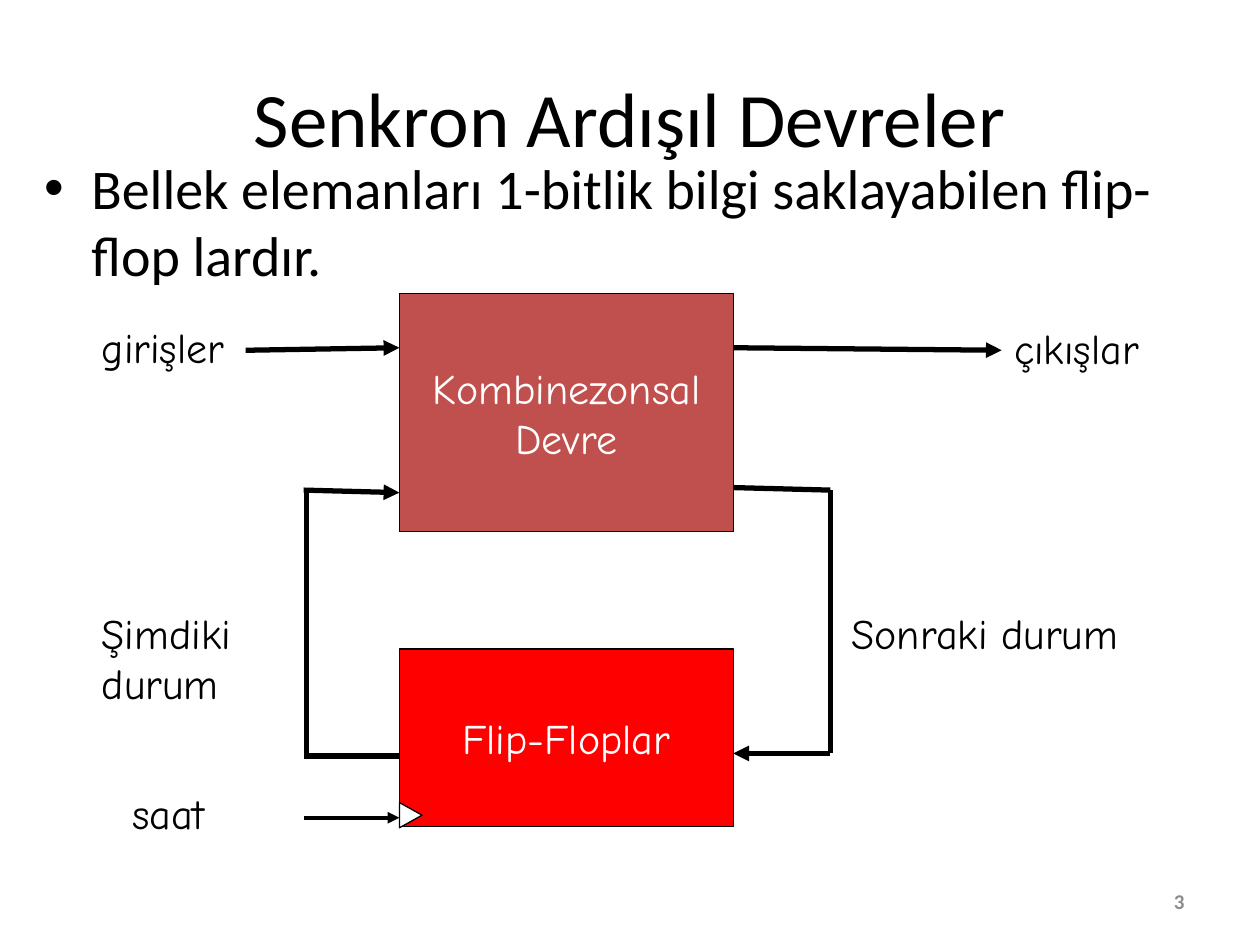
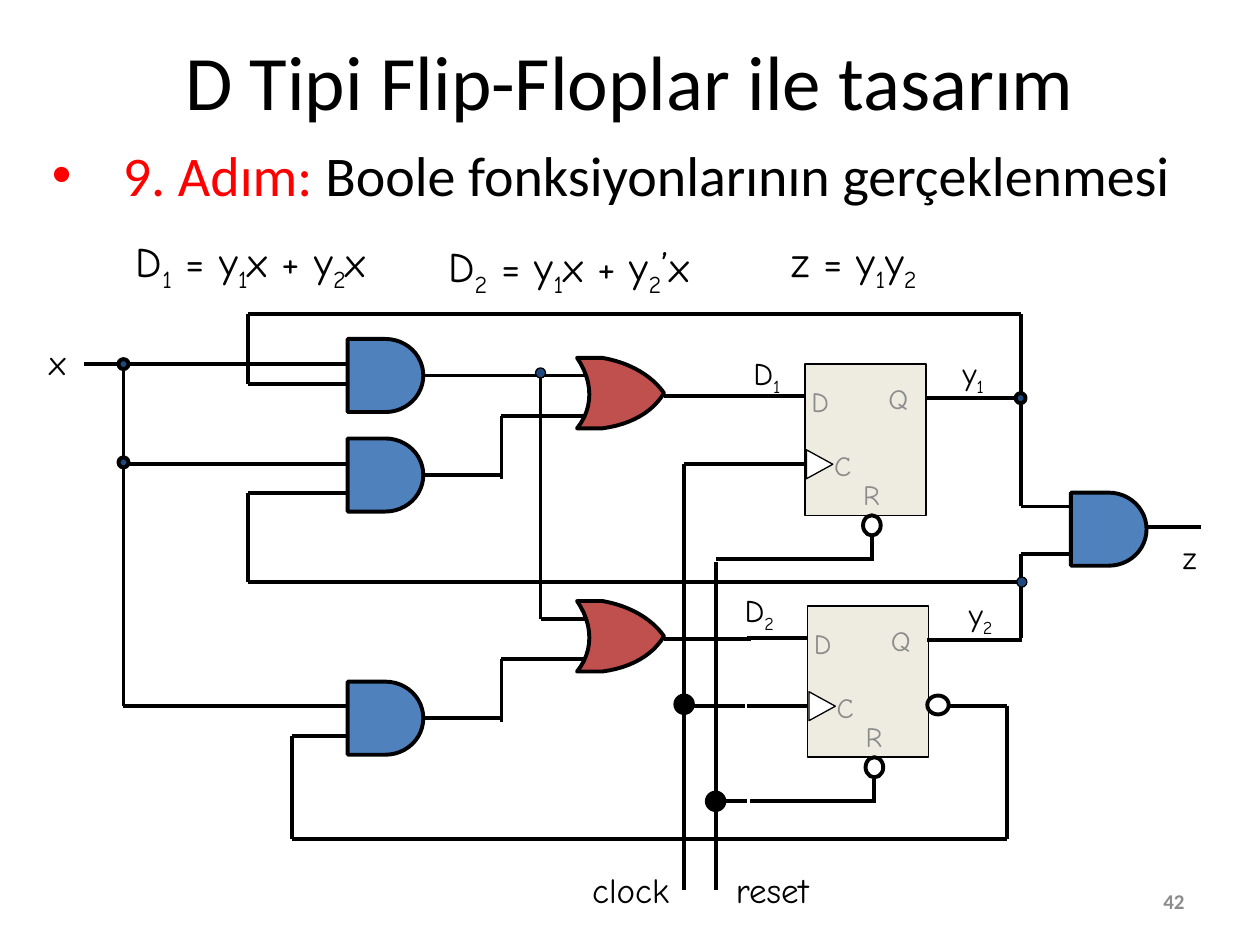
from lxml import etree
from pptx import Presentation
from pptx.dml.color import RGBColor
from pptx.enum.shapes import MSO_CONNECTOR, MSO_SHAPE
from pptx.enum.text import MSO_ANCHOR, MSO_AUTO_SIZE, PP_ALIGN
from pptx.oxml.ns import qn
from pptx.util import Inches, Pt

BLACK = RGBColor(0x00, 0x00, 0x00)
WHITE = RGBColor(0xFF, 0xFF, 0xFF)
GRAY = RGBColor(0x8C, 0x8C, 0x8C)
RED = RGBColor(0xFF, 0x00, 0x00)
BRICK = RGBColor(0xC0, 0x50, 0x4D)
BLUE = RGBColor(0x4F, 0x81, 0xBD)
NAVY = RGBColor(0x1F, 0x49, 0x7D)
BEIGE = RGBColor(0xEE, 0xEC, 0xE1)

TEXT_FONT = "Calibri"
DIAGRAM_FONT = "Comic Neue"

RECTANGLE = MSO_SHAPE.RECTANGLE
TRIANGLE = MSO_SHAPE.ISOSCELES_TRIANGLE
ELLIPSE = MSO_SHAPE.OVAL
AND_GATE = MSO_SHAPE.FLOWCHART_DELAY
STRAIGHT = MSO_CONNECTOR.STRAIGHT
CENTER, RIGHT = PP_ALIGN.CENTER, PP_ALIGN.RIGHT
MIDDLE = MSO_ANCHOR.MIDDLE
NO_FIT, GROW = MSO_AUTO_SIZE.NONE, MSO_AUTO_SIZE.SHAPE_TO_FIT_TEXT

THIN, WIRE, THICK = 0.75, 2.25, 3


def place(shape, left, top, width, height):
    shape.left, shape.top = Inches(left), Inches(top)
    shape.width, shape.height = Inches(width), Inches(height)


def style_font(font, name, size, color):
    font.name, font.size = name, Pt(size)
    font.color.rgb = color


def bezier(start, control1, control2, end, steps=12):
    """Points along a cubic curve, without its start."""
    points = []
    for step in range(1, steps + 1):
        t = step / steps
        weights = ((1 - t) ** 3, 3 * t * (1 - t) ** 2, 3 * t * t * (1 - t), t ** 3)
        corners = (start, control1, control2, end)
        points.append(tuple(sum(w * c[axis] for w, c in zip(weights, corners))
                            for axis in (0, 1)))
    return points


class Deck:
    def __init__(self):
        self.presentation = Presentation()
        self.presentation.slide_width = Inches(10)
        self.presentation.slide_height = Inches(7.5)
        self.slide = None

    def new_slide(self, title, title_top, number):
        layout = self.presentation.slide_layouts[1]
        self.slide = self.presentation.slides.add_slide(layout)
        heading = self.slide.shapes.title
        place(heading, 0.5, title_top, 9, 1.25)
        frame = heading.text_frame
        frame.text = title
        frame.vertical_anchor, frame.auto_size = MIDDLE, NO_FIT
        frame.paragraphs[0].alignment = CENTER
        style_font(frame.paragraphs[0].font, TEXT_FONT, 44, BLACK)
        self.page_number(number)

    def page_number(self, number):
        box = self.slide.shapes.add_textbox(
            Inches(7.17), Inches(6.95), Inches(2.33), Inches(0.4))
        frame = box.text_frame
        frame.text = str(number)
        frame.word_wrap, frame.vertical_anchor = True, MIDDLE
        paragraph = frame.paragraphs[0]
        paragraph.alignment = RIGHT
        style_font(paragraph.font, TEXT_FONT, 12, GRAY)
        paragraph.font.bold = True

    def bullet(self, parts, height, margin, hanging, spacing=1.0):
        """Fill the body with one bullet of (text, color) parts; indents in points."""
        body = self.slide.placeholders[1]
        place(body, 0.25, 1.17, 9.58, height)
        body.text_frame.auto_size = NO_FIT
        paragraph = body.text_frame.paragraphs[0]
        paragraph.space_before, paragraph.line_spacing = Pt(0), spacing
        properties = paragraph._p.get_or_add_pPr()
        properties.set("marL", str(Pt(margin)))
        properties.set("indent", str(-Pt(hanging)))
        bullet_color = etree.SubElement(properties, qn("a:buClr"))
        etree.SubElement(bullet_color, qn("a:srgbClr"), val=str(parts[0][1]))
        style_font(paragraph.font, TEXT_FONT, 32, BLACK)
        for text, color in parts:
            run = paragraph.add_run()
            run.text = text
            run.font.color.rgb = color

    def label(self, text, left, top, width, size=24, color=BLACK,
              padded=True, lines=1):
        """Diagram text; every second part between bars is a subscript."""
        height = size * 1.22 / 72 * lines + (0.1 if padded else 0)
        box = self.slide.shapes.add_textbox(
            Inches(left), Inches(top), Inches(width), Inches(height))
        frame = box.text_frame
        frame.word_wrap, frame.auto_size = lines > 1, GROW
        if not padded:
            frame.margin_left = frame.margin_right = 0
            frame.margin_top = frame.margin_bottom = 0
        paragraph = frame.paragraphs[0]
        style_font(paragraph.font, DIAGRAM_FONT, size, color)
        for index, part in enumerate(text.split("|")):
            if part:
                run = paragraph.add_run()
                run.text = part
                if index % 2:
                    run._r.get_or_add_rPr().set("baseline", "-25000")

    def paint(self, shape, fill, weight):
        shape.shadow.inherit = False
        if fill is None:
            shape.fill.background()
        else:
            shape.fill.solid()
            shape.fill.fore_color.rgb = fill
        shape.line.color.rgb = BLACK
        shape.line.width = Pt(weight)

    def shape(self, kind, left, top, width, height, fill=None, weight=WIRE):
        shape = self.slide.shapes.add_shape(
            kind, Inches(left), Inches(top), Inches(width), Inches(height))
        self.paint(shape, fill, weight)
        return shape

    def block(self, text, top, height, fill):
        block = self.shape(RECTANGLE, 3.17, top, 2.65, height, fill, THIN)
        frame = block.text_frame
        frame.text = text
        frame.word_wrap, frame.vertical_anchor = True, MIDDLE
        frame.paragraphs[0].alignment = CENTER
        style_font(frame.paragraphs[0].font, DIAGRAM_FONT, 24, WHITE)

    def clock_mark(self, left, top, width, height):
        self.shape(TRIANGLE, left, top, width, height, WHITE, THIN).rotation = 90

    def wire(self, *points, weight=WIRE, arrow=False):
        """Straight segments through the points, with an optional final arrowhead."""
        for start, end in zip(points, points[1:]):
            line = self.slide.shapes.add_connector(
                STRAIGHT, *(Inches(value) for value in start + end))
            line.line.color.rgb = BLACK
            line.line.width = Pt(weight)
            properties = line._element.spPr
            if arrow and end == points[-1]:
                etree.SubElement(properties.find(qn("a:ln")), qn("a:tailEnd"),
                                 type="triangle")
            etree.SubElement(properties, qn("a:effectLst"))

    def junction(self, x, y, size=0.08, fill=NAVY, weight=WIRE):
        self.shape(ELLIPSE, x - size / 2, y - size / 2, size, size, fill, weight)

    def and_gate(self, left, top):
        self.shape(AND_GATE, left, top, 0.6, 0.58, BLUE)

    def or_gate(self, left, top):
        tip, low, high = (0.69, 0.28), (0.2, 0.56), (0.2, 0)
        outline = [tip, *bezier(tip, (0.6, 0.43), (0.43, 0.53), low),
                   (0, 0.56), *bezier((0, 0.56), (0.13, 0.4), (0.13, 0.19), (0, 0)),
                   high, *bezier(high, (0.43, 0.04), (0.6, 0.15), tip)]
        points = [(Inches(left + x), Inches(top + y)) for x, y in outline]
        builder = self.slide.shapes.build_freeform(*points[0])
        builder.add_line_segments(points[1:], close=True)
        self.paint(builder.convert_to_shape(), BRICK, WIRE)

    def flip_flop(self, left, top, q_end):
        """D flip-flop with its pins, reset bubble and short leads."""
        self.shape(RECTANGLE, left, top, 0.96, 1.2, BEIGE, THIN)
        for lead_y in (0.25, 0.79):
            self.wire((left, top + lead_y), (left - 0.48, top + lead_y))
        self.wire((q_end, top + 0.27), (left + 0.95, top + 0.27))
        self.clock_mark(left, top + 0.69, 0.23, 0.21)
        self.shape(ELLIPSE, left + 0.46, top + 1.2, 0.14, 0.16)
        self.wire((left + 0.53, top + 1.37), (left + 0.53, top + 1.56))
        self.wire((left + 0.53, top + 1.55), (left - 0.46, top + 1.55))
        for pin, x, y in (("D", 0.05, 0.16), ("Q", 0.66, 0.14),
                          ("C", 0.23, 0.67), ("R", 0.46, 0.9)):
            self.label(pin, left + x, top + y, 0.14, 16, GRAY, padded=False)


def synchronous_circuits(deck):
    deck.new_slide("Senkron Ardışıl Devreler", 0.3, 3)
    deck.bullet([("Bellek elemanları 1-bitlik bilgi saklayabilen flip-flop lardır.",
                  BLACK)], 1.56, 27, 27)
    deck.block("Kombinezonsal Devre", 2.33, 1.89, BRICK)
    deck.block("Flip-Floplar", 5.15, 1.41, RED)

    deck.wire((1.95, 2.78), (3.17, 2.76), weight=THICK, arrow=True)
    deck.wire((5.82, 2.76), (7.95, 2.78), weight=THICK, arrow=True)
    deck.wire((5.82, 3.87), (6.59, 3.89), (6.59, 5.98), (5.82, 5.98),
              weight=THICK, arrow=True)
    deck.wire((3.17, 6), (2.41, 6), weight=THICK)
    deck.wire((2.43, 6), (2.43, 3.91), weight=THICK)
    deck.wire((2.41, 3.89), (3.17, 3.91), weight=THICK, arrow=True)
    deck.clock_mark(3.16, 6.38, 0.2, 0.18)
    deck.wire((2.41, 6.49), (3.17, 6.49), arrow=True)

    deck.label("girişler", 0.71, 2.5, 1.33)
    deck.label("çıkışlar", 7.95, 2.51, 1.34)
    deck.label("Şimdiki durum", 0.71, 4.77, 1.7, lines=2)
    deck.label("Sonraki durum", 6.66, 4.77, 2.47)
    deck.label("saat", 0.95, 6.2, 0.87)


def d_flip_flop_design(deck):
    deck.new_slide("D Tipi Flip-Floplar ile tasarım", 0.01, 42)
    deck.bullet([("9. Adım: ", RED), ("Boole fonksiyonlarının gerçeklenmesi", BLACK)],
                0.57, 45, 40.5, 0.8)
    deck.label("D|1| = y|1|x + y|2|x", 0.98, 1.82, 2.27)
    deck.label("D|2| = y|1|x + y|2|’x", 3.46, 1.86, 2.36)
    deck.label("z = y|1|y|2|", 6.18, 1.82, 1.34)

    deck.flip_flop(6.39, 2.89, 8.1)
    deck.flip_flop(6.41, 4.81, 8.11)
    for gate_top in (2.69, 3.48, 5.41):
        deck.and_gate(2.76, gate_top)
    deck.and_gate(8.5, 3.91)

    # Each OR gate feeds a D input and takes its lower input from an AND gate
    for gate_top in (2.84, 4.77):
        deck.or_gate(4.58, gate_top)
        deck.wire((5.27, gate_top + 0.3), (5.96, gate_top + 0.3))
        deck.wire((3.35, gate_top + 0.93), (3.98, gate_top + 0.93))
        deck.wire((3.98, gate_top + 0.96), (3.98, gate_top + 0.46),
                  (4.65, gate_top + 0.46))
    deck.wire((3.35, 2.98), (4.65, 2.98))
    deck.wire((4.29, 2.98), (4.29, 4.91), (4.65, 4.91))

    # Input x
    deck.wire((0.67, 2.89), (2.76, 2.89))
    deck.wire((0.98, 2.89), (0.98, 3.68), (2.76, 3.68))
    deck.wire((0.98, 3.68), (0.98, 5.6), (2.76, 5.6))

    # Feedback from y1, y2 and the inverted y2
    deck.wire((8.1, 3.14), (8.1, 2.49), (1.97, 2.49), (1.97, 3.05), (2.76, 3.05))
    deck.wire((8.11, 4.62), (1.97, 4.62), (1.97, 3.91), (2.76, 3.91))
    deck.shape(ELLIPSE, 7.36, 5.52, 0.17, 0.15)
    deck.wire((7.52, 5.6), (7.99, 5.6), (7.99, 6.66), (2.32, 6.66),
              (2.32, 5.84), (2.76, 5.84))

    # Output z
    deck.wire((8.1, 3.19), (8.1, 4.02), (8.5, 4.02))
    deck.wire((8.1, 5.06), (8.1, 4.4), (8.5, 4.4))
    deck.wire((9.1, 4.18), (9.53, 4.18))

    # Clock and reset lines
    deck.wire((5.98, 3.68), (5.43, 3.68), (5.43, 7.06))
    deck.wire((5.91, 5.6), (5.43, 5.6))
    deck.wire((5.93, 4.44), (5.68, 4.44))
    deck.wire((5.68, 4.46), (5.68, 7.06))
    deck.wire((5.93, 6.36), (5.68, 6.36))

    for x, y in ((0.98, 2.89), (0.98, 3.67), (8.1, 3.16)):
        deck.junction(x, y)
    for x, y in ((8.11, 4.62), (4.29, 2.96)):
        deck.junction(x, y, weight=THIN)
    for x, y in ((5.43, 5.59), (5.68, 6.36)):
        deck.junction(x, y, 0.16, BLACK, THIN)

    for signal, left, top, width, size in (
            ("y|1|", 7.64, 2.81, 0.21, 18), ("y|2|", 7.69, 4.72, 0.23, 18),
            ("D|1|", 5.98, 2.81, 0.26, 18), ("D|2|", 5.91, 4.69, 0.29, 18),
            ("x", 0.39, 2.7, 0.16, 20), ("clock", 4.7, 6.89, 0.66, 20),
            ("reset", 5.84, 6.89, 0.7, 20)):
        deck.label(signal, left, top, width, size, padded=False)
    deck.label("z", 9.29, 4.22, 0.34, 18)


def main():
    deck = Deck()
    synchronous_circuits(deck)
    d_flip_flop_design(deck)
    deck.presentation.save("out.pptx")


if __name__ == "__main__":
    main()
